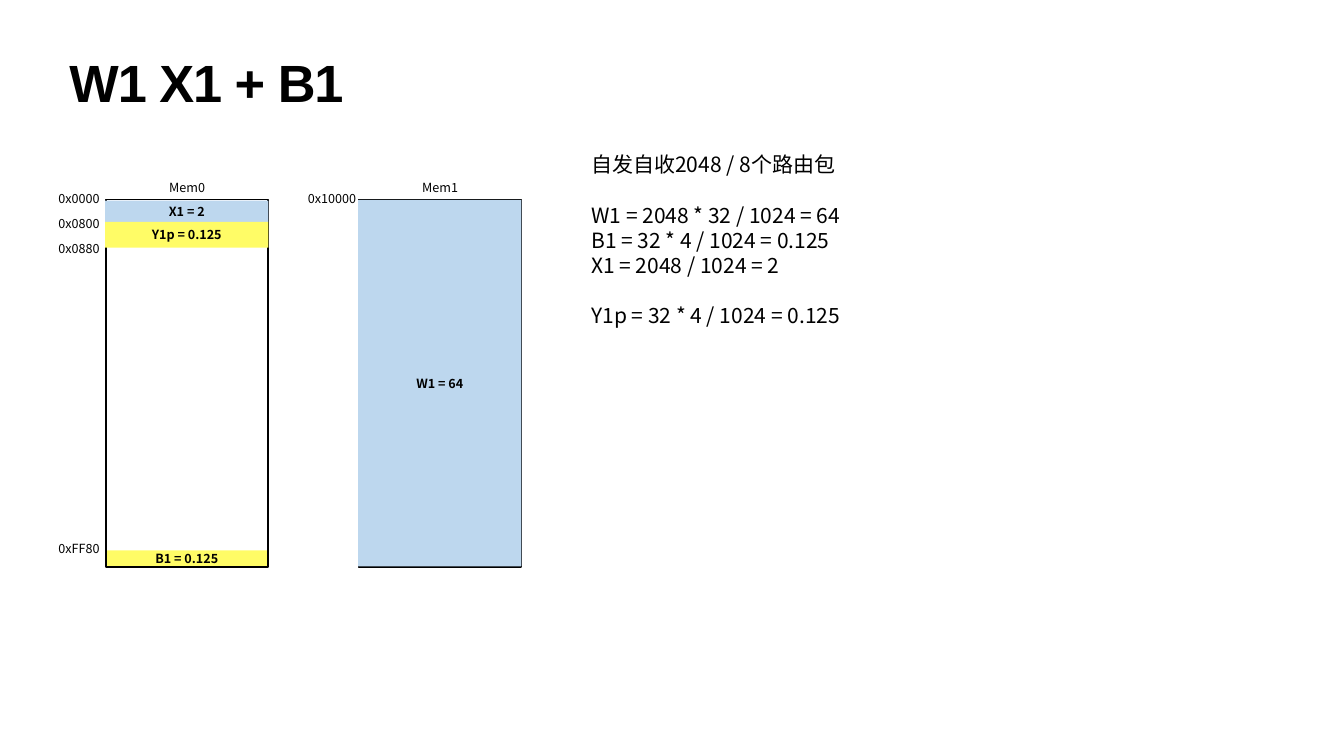
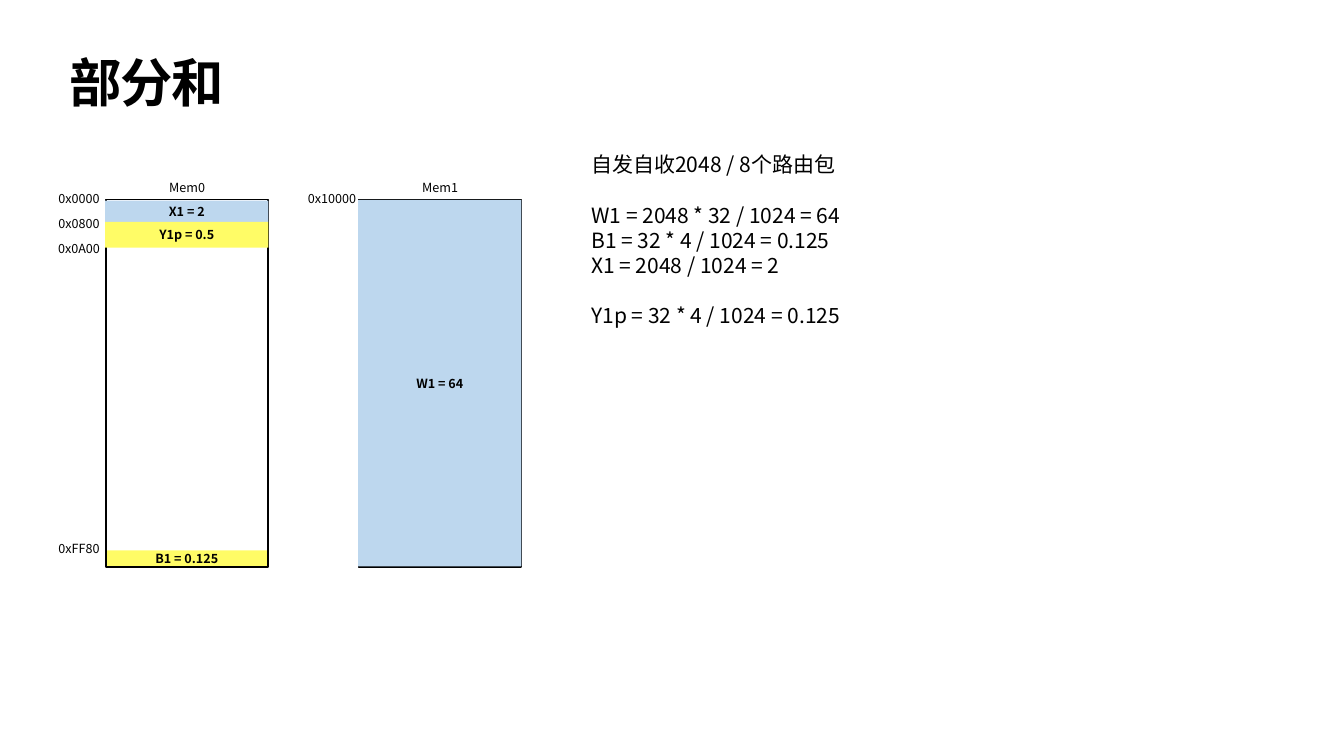
from lxml import etree
from pptx import Presentation
from pptx.dml.color import RGBColor
from pptx.enum.shapes import MSO_SHAPE
from pptx.enum.text import MSO_ANCHOR, MSO_AUTO_SIZE, PP_ALIGN
from pptx.oxml.ns import qn
from pptx.util import Cm, Pt

LEFT, CENTER = PP_ALIGN.LEFT, PP_ALIGN.CENTER
TOP, MIDDLE = MSO_ANCHOR.TOP, MSO_ANCHOR.MIDDLE
RECT = MSO_SHAPE.RECTANGLE

THEME = {
    "ink": RGBColor(0x00, 0x00, 0x00),
    "paper": RGBColor(0xFF, 0xFF, 0xFF),
    "input": RGBColor(0xBD, 0xD7, 0xEE),
    "result": RGBColor(0xFF, 0xFC, 0x66),
    "title_font": "Arial",
    "body_font": "Noto Sans CJK SC",
    "title": 74.8,
    "notes": 30,
    "label": 18,
    "line_height": 1.2,
    "frame_line": Pt(2.25),
}

# Memory map geometry in cm
MEM0, MEM1 = 5.33, 18.08
FRAME_TOP, FRAME_W, FRAME_H = 10.06, 8.18, 18.52
LABEL_W, LABEL_H = 2.79, 1.02

# Calculations: text and blank lines above it
NOTES = [
    ("自发自收2048 / 8个路由包", 0),
    ("W1 = 2048 * 32 / 1024 = 64", 1),
    ("B1 = 32 * 4 / 1024 = 0.125", 0),
    ("X1 = 2048 / 1024 = 2", 0),
    ("Y1p = 32 * 4 / 1024 = 0.125", 1),
]

# Per slide: title, size of Y1p, address after Y1p
SLIDES = [
    ("W1 X1 + B1", "0.125", "0x0880"),
    ("部分和", "0.5", "0x0A00"),
]


def write(sp, lines, size, font=THEME["body_font"], bold=False, align=CENTER,
          anchor=TOP, inset=0.13, spacing=None, tracking=None):
    """Fill a shape with (text, blank lines above) paragraphs."""
    tf = sp.text_frame
    tf.word_wrap = True
    tf.auto_size = MSO_AUTO_SIZE.NONE
    tf.vertical_anchor = anchor
    tf.margin_left = tf.margin_right = tf.margin_top = tf.margin_bottom = Cm(inset)
    for i, (text, gap) in enumerate(lines):
        p = tf.paragraphs[0] if i == 0 else tf.add_paragraph()
        p.text = text
        p.alignment = align
        p.line_spacing = spacing or Pt(size * THEME["line_height"])
        p.space_before = Pt(gap * size * THEME["line_height"])
        r = p.runs[0]
        r.font.size = Pt(size)
        r.font.bold = bold
        r.font.color.rgb = THEME["ink"]
        r.font.name = font
        rPr = r.font._element
        etree.SubElement(rPr, qn("a:ea")).set("typeface", font)
        if tracking:
            rPr.set("spc", str(tracking))


def add_box(s, x, y, w, h, fill=None):
    """Add a filled block, or an outlined frame when there is no fill."""
    sp = s.shapes.add_shape(RECT, Cm(x), Cm(y), Cm(w), Cm(h))
    sp.shadow.inherit = False
    if fill is None:
        sp.fill.background()
        sp.line.color.rgb = THEME["ink"]
        sp.line.width = THEME["frame_line"]
    else:
        sp.fill.solid()
        sp.fill.fore_color.rgb = fill
        sp.line.fill.background()
    return sp


prs = Presentation()
prs.slide_width, prs.slide_height = Cm(67.74), Cm(38.1)

for title, y1p_size, y1p_end in SLIDES:
    s = prs.slides.add_slide(prs.slide_layouts[5])
    s.background.fill.solid()
    s.background.fill.fore_color.rgb = THEME["paper"]

    # Title
    sp = s.shapes.title
    sp.left, sp.top, sp.width, sp.height = Cm(3.35), Cm(3), Cm(61.04), Cm(3.99)
    write(sp, [(title, 0)], THEME["title"], THEME["title_font"], True, LEFT,
          inset=0.15, spacing=0.8, tracking=-150)

    # Calculations
    sp = s.shapes.add_textbox(Cm(29.67), Cm(7.52), Cm(33.78), Cm(9.22))
    write(sp, NOTES, THEME["notes"], align=LEFT)

    # Memory frames and blocks, from back to front: memory, text, top, height, fill
    parts = [
        (MEM1, None, FRAME_TOP, FRAME_H, None),
        (MEM1, "W1 = 64", 10.08, 18.47, THEME["input"]),
        (MEM0, "B1 = 0.125", 27.74, 0.81, THEME["result"]),
        (MEM0, None, FRAME_TOP, FRAME_H, None),
        (MEM0, "X1 = 2", 10.11, 1.07, THEME["input"]),
        (MEM0, f"Y1p = {y1p_size}", 11.18, 1.3, THEME["result"]),
    ]
    for mem, text, y, h, fill in parts:
        if text is None:
            add_box(s, mem, y, FRAME_W, h)
        else:
            sp = add_box(s, mem - 0.03, y, FRAME_W + 0.05, h, fill)
            write(sp, [(text, 0)], THEME["label"], bold=True, anchor=MIDDLE)

    # Memory names above the frames, addresses to their left
    name_dx, address_dx = 2.71, -2.74
    labels = [
        ("Mem0", MEM0 + name_dx, 8.95),
        ("Mem1", MEM1 + name_dx, 8.95),
        ("0x0000", MEM0 + address_dx, 9.5),
        ("0x0800", MEM0 + address_dx, 10.77),
        (y1p_end, MEM0 + address_dx, 12.01),
        ("0xFF80", MEM0 + address_dx, 27.13),
        ("0x10000", MEM1 + address_dx, 9.5),
    ]
    for text, x, y in labels:
        sp = s.shapes.add_textbox(Cm(x), Cm(y), Cm(LABEL_W), Cm(LABEL_H))
        write(sp, [(text, 0)], THEME["label"])

prs.save("out.pptx")
